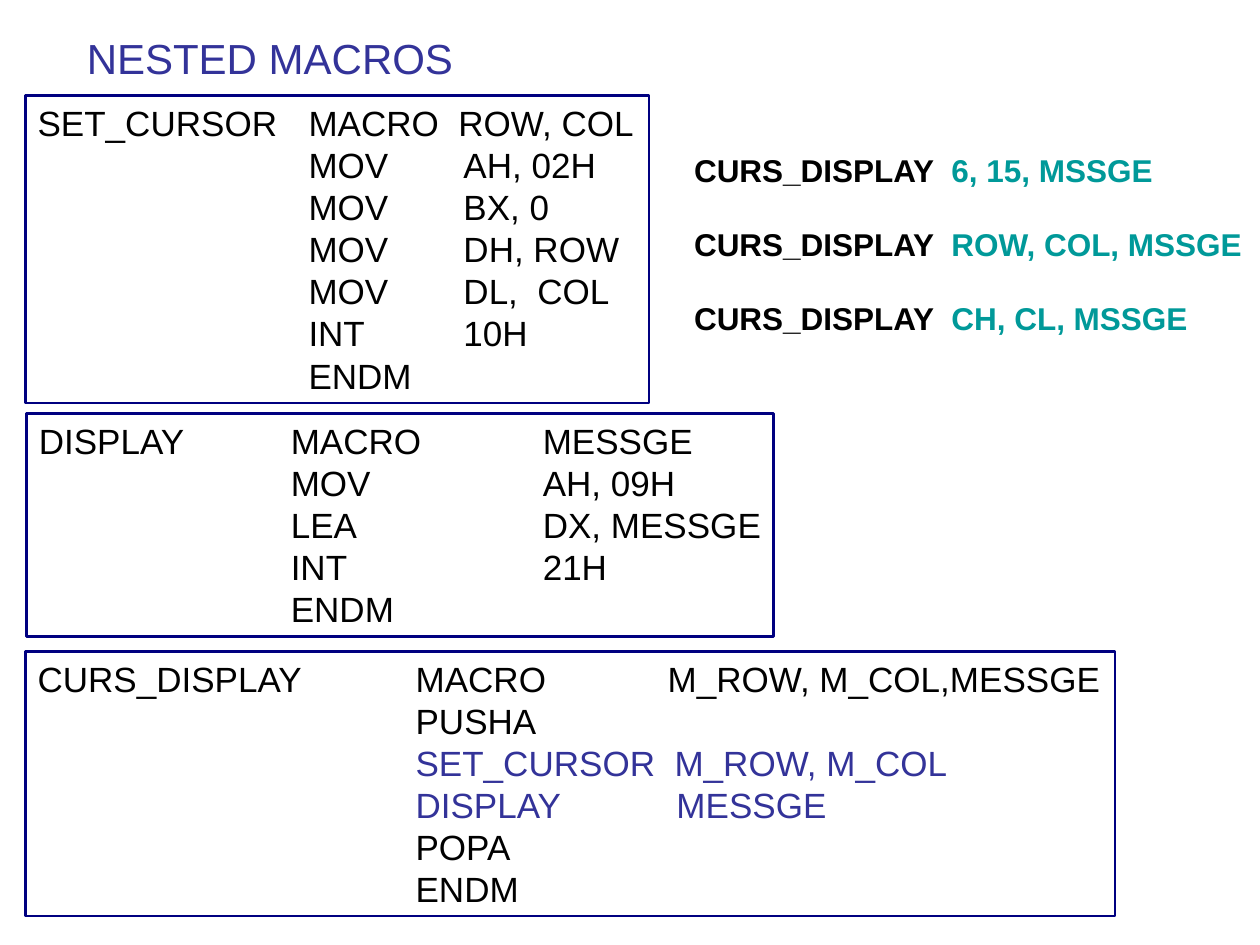
from dataclasses import dataclass

from lxml import etree
from pptx import Presentation
from pptx.dml.color import RGBColor
from pptx.enum.shapes import MSO_SHAPE
from pptx.enum.text import MSO_ANCHOR, PP_ALIGN
from pptx.oxml.ns import qn
from pptx.util import Inches, Pt

RECT = MSO_SHAPE.RECTANGLE
TOP = MSO_ANCHOR.TOP
LEFT = PP_ALIGN.LEFT


@dataclass(frozen=True)
class Theme:
    font: str = "Arial"
    ink: str = "000000"
    blue: str = "333399"
    teal: str = "009999"
    edge: str = "000080"
    head: int = 24
    code: int = 20
    call: int = 18
    gap: float = 20.7
    rule: float = 1.5


def apply(item, form):
    for name, value in form.items():
        setattr(item, name, value)


class Deck:
    COLS, ROWS = 100, 75

    def __init__(self, theme):
        self.theme = theme
        self.file = Presentation()
        apply(self.file, {"slide_width": Inches(10), "slide_height": Inches(7.5)})
        self.slide = self.file.slides.add_slide(self.file.slide_layouts[6])

    def place(self, col, row, wide, high):
        dx = self.file.slide_width / self.COLS
        dy = self.file.slide_height / self.ROWS
        return [round(n) for n in (col * dx, row * dy, wide * dx, high * dy)]

    def fill(self, shape, lines, size, bold=False, gap=0, stops=()):
        frame = shape.text_frame
        apply(frame, {"word_wrap": True, "vertical_anchor": TOP,
                      "margin_left": Inches(0.1), "margin_right": 0,
                      "margin_top": Inches(0.05), "margin_bottom": Inches(0.05)})
        for i, line in enumerate(lines):
            para = frame.paragraphs[0] if i == 0 else frame.add_paragraph()
            apply(para, {"alignment": LEFT, "space_before": Pt(gap if i else 0)})
            self.tabs(para, stops)
            for text, tone in line:
                run = para.add_run()
                run.text = text
                apply(run.font, {"name": self.theme.font, "size": Pt(size), "bold": bold})
                run.font.color.rgb = RGBColor.from_string(tone)

    def tabs(self, para, stops):
        if stops:
            group = etree.SubElement(para._p.get_or_add_pPr(), qn("a:tabLst"))
            for stop in stops:
                etree.SubElement(group, qn("a:tab"), pos=str(Inches(stop)), algn="l")

    def text(self, area, lines, size, **form):
        box = self.slide.shapes.add_textbox(*self.place(*area))
        self.fill(box, lines, size, **form)

    def macro(self, area, stops, lines):
        box = self.slide.shapes.add_shape(RECT, *self.place(*area))
        box.shadow.inherit = False
        box.fill.background()
        box.line.color.rgb = RGBColor.from_string(self.theme.edge)
        box.line.width = Pt(self.theme.rule)
        self.fill(box, lines, self.theme.code, stops=stops)


def main():
    theme = Theme()
    deck = Deck(theme)

    def plain(*lines):
        return [[(line, theme.ink)] for line in lines]

    def mark(*lines):
        return [[(line, theme.blue)] for line in lines]

    deck.text((5.9, 2.1, 31.1, 5), mark("NESTED MACROS"), theme.head)
    deck.macro((2, 7.6, 49.5, 24.4), (2.15, 3.38), plain(
        "SET_CURSOR\tMACRO  ROW, COL",
        "\tMOV\tAH, 02H",
        "\tMOV\tBX, 0",
        "\tMOV\tDH, ROW",
        "\tMOV\tDL,  COL",
        "\tINT\t10H",
        "\tENDM"))
    deck.macro((2, 51.7, 86.5, 21), (3, 5, 5.07), (
        plain("CURS_DISPLAY\tMACRO\tM_ROW, M_COL,MESSGE", "\tPUSHA")
        + mark("\tSET_CURSOR  M_ROW, M_COL", "\tDISPLAY\t\tMESSGE")
        + plain("\tPOPA", "\tENDM")))
    deck.macro((2.1, 32.8, 59.3, 17.7), (2, 4), plain(
        "DISPLAY\tMACRO\tMESSGE",
        "\tMOV\tAH, 09H",
        "\tLEA\tDX, MESSGE",
        "\tINT\t21H",
        "\tENDM"))
    calls = [[("CURS_DISPLAY  ", theme.ink), (args, theme.teal)]
             for args in ("6, 15, MSSGE", "ROW, COL, MSSGE", "CH, CL, MSSGE")]
    deck.text((54.1, 11.5, 45.9, 16), calls, theme.call, bold=True, gap=theme.gap)
    deck.file.save("out.pptx")


if __name__ == "__main__":
    main()
